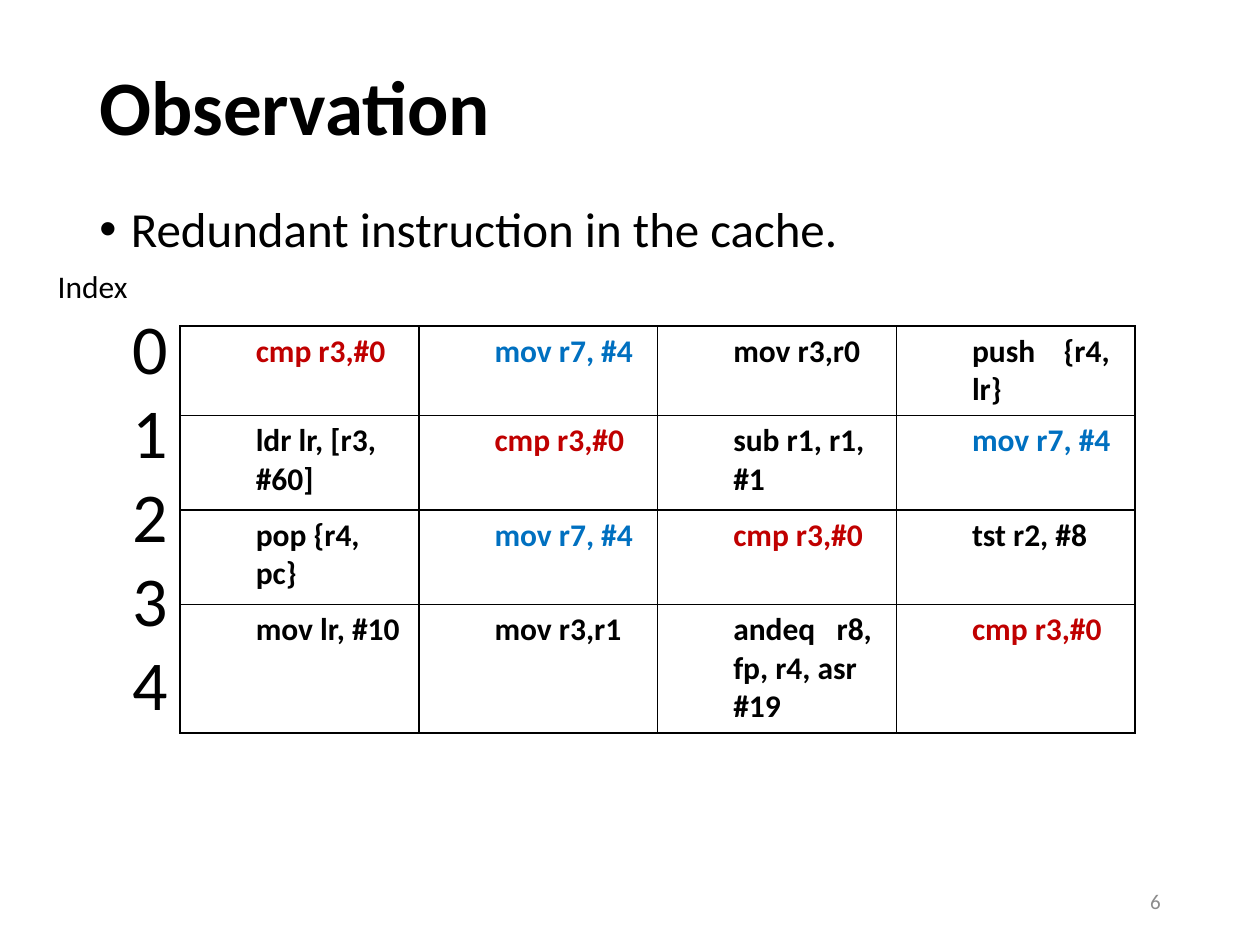
from lxml.etree import SubElement
from pptx import Presentation
from pptx.dml.color import RGBColor
from pptx.enum.text import MSO_ANCHOR as Anchor, PP_ALIGN as Align
from pptx.oxml import parse_xml
from pptx.oxml.ns import nsdecls, qn
from pptx.util import Inches, Pt

W, H = Inches(10), Inches(7.5)
LEFT, WIDE = 0.069, 0.862  # shared margin and width, as shares of the slide


def add_run(para, text, size, color="000000", bold=False):
    run = para.add_run()
    run.text = text
    font = run.font
    font.name, font.size, font.bold = "Calibri", Pt(size), bold
    font.color.rgb = RGBColor.from_string(color)


def add_box(x, y, w, h, anchor=Anchor.TOP):
    """Add a wrapping text box, placed by shares of the slide's size."""
    box = slide.shapes.add_textbox(int(x * W), int(y * H), int(w * W), int(h * H))
    frame = box.text_frame
    frame.word_wrap = True
    frame.vertical_anchor = anchor
    return frame


deck = Presentation()
deck.slide_width, deck.slide_height = W, H
slide = deck.slides.add_slide(deck.slide_layouts[6])

# Title
title = add_box(LEFT, 0.052, WIDE, 0.13, Anchor.MIDDLE).paragraphs[0]
title.line_spacing = 0.9
add_run(title, "Observation", 44, bold=True)

# Bullet
point = add_box(LEFT, 0.21, WIDE, 0.7).paragraphs[0]
props = point._p.get_or_add_pPr()
props.set("marL", str(Inches(0.25)))
props.set("indent", str(-Inches(0.25)))
SubElement(props, qn("a:buFont"), typeface="Arial")
SubElement(props, qn("a:buChar"), char="•")
point.line_spacing = 0.9
add_run(point, "Redundant instruction in the cache.", 28)

# Cache table, with repeated instructions in colour
CODE = [
    ["cmp r3,#0", "mov r7, #4", "mov r3,r0", "push    {r4, lr}"],
    ["ldr lr, [r3, #60]", "cmp r3,#0", "sub r1, r1, #1", "mov r7, #4"],
    ["pop {r4, pc}", "mov r7, #4", "cmp r3,#0", "tst r2, #8"],
    ["mov lr, #10", "mov r3,r1", "andeq   r8, fp, r4, asr #19", "cmp r3,#0"],
]
TINTS = {"cmp r3,#0": "C00000", "mov r7, #4": "0070C0"}
ROWS = [0.71, 0.75, 0.75, 1.02]

grid = slide.shapes.add_table(4, 4, int(0.143 * W), int(0.345 * H),
                              int(0.758 * W), Inches(sum(ROWS))).table
grid.first_row = grid.horz_banding = False
for r, (line, tall) in enumerate(zip(CODE, ROWS)):
    grid.rows[r].height = Inches(tall)
    for c, text in enumerate(line):
        cell = grid.cell(r, c)
        cell.fill.background()
        edges = cell._tc.get_or_add_tcPr()
        for i, side in enumerate("LRTB"):
            edges.insert(i, parse_xml(
                f'<a:ln{side} {nsdecls("a")} w="{Pt(1)}"><a:solidFill>'
                f'<a:srgbClr val="000000"/></a:solidFill></a:ln{side}>'))
        para = cell.text_frame.paragraphs[0]
        para.level = 1
        props = para._p.get_or_add_pPr()
        props.set("marL", str(Inches(0.5)))
        props.set("indent", "0")
        add_run(para, text, 18, TINTS.get(text, "000000"), bold=True)

# Index labels
index = add_box(0.004, 0.276, 0.139, 0.503)
head = index.paragraphs[0]
head.alignment = Align.CENTER
add_run(head, "Index", 18)
for n in range(5):
    para = index.add_paragraph()
    para.alignment = Align.RIGHT
    add_run(para, str(n), 40)

# Page number
page = add_box(0.706, 0.927, 0.225, 0.053, Anchor.MIDDLE).paragraphs[0]
page.alignment = Align.RIGHT
add_run(page, "6", 12, "8C8C8C")

deck.save("out.pptx")
